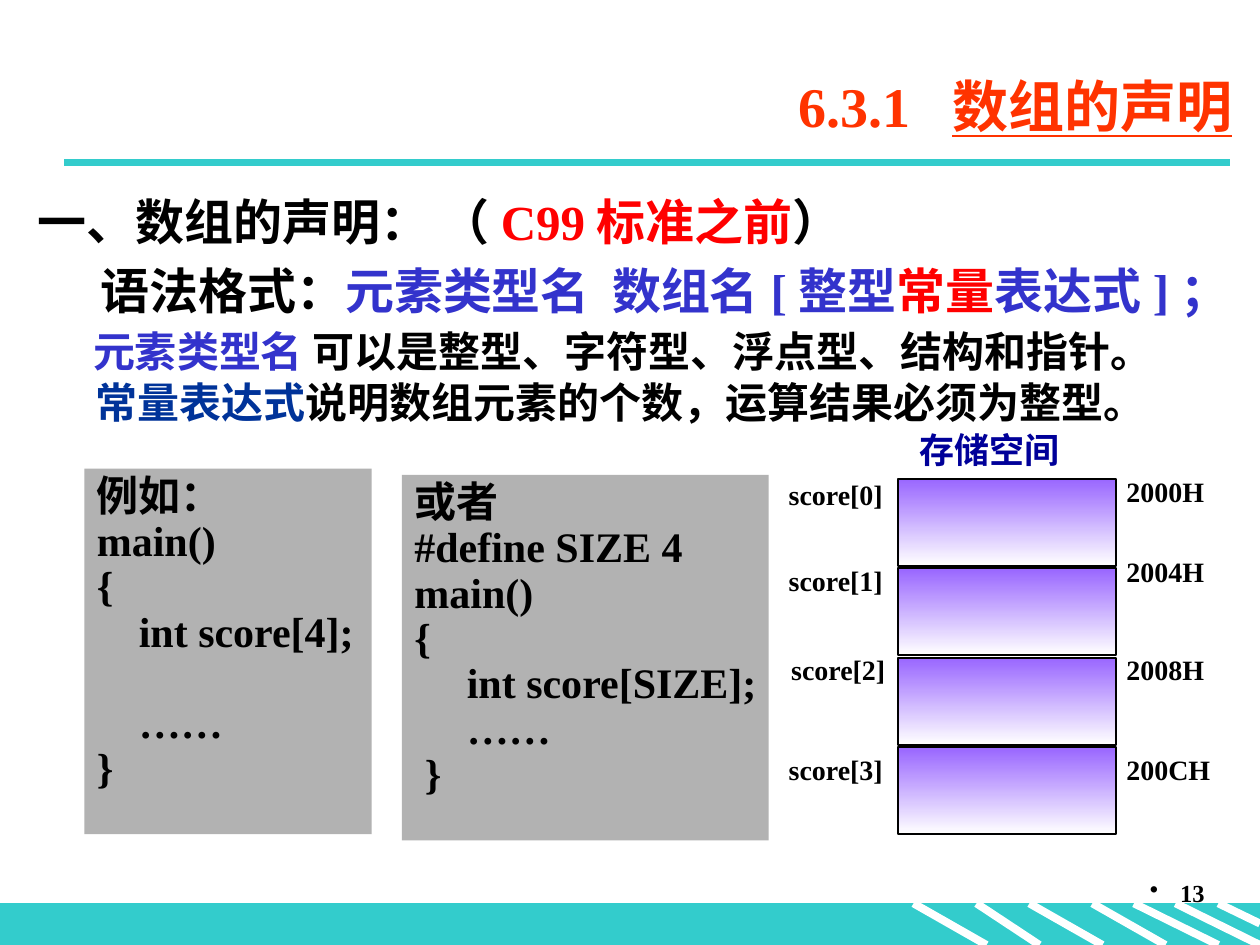
import pptx
import pptx.dml.color
import pptx.enum.shapes
import pptx.enum.text
import pptx.oxml.ns
import pptx.util
from lxml import etree

Inches = pptx.util.Inches
Pt = pptx.util.Pt
RGBColor = pptx.dml.color.RGBColor
Align = pptx.enum.text.PP_ALIGN
Anchor = pptx.enum.text.MSO_ANCHOR
RECTANGLE = pptx.enum.shapes.MSO_SHAPE.RECTANGLE
qn = pptx.oxml.ns.qn

FONT = "Times New Roman"
BLACK = RGBColor(0x00, 0x00, 0x00)
WHITE = RGBColor(0xFF, 0xFF, 0xFF)
TEAL = RGBColor(0x33, 0xCC, 0xCC)
ORANGE = RGBColor(0xFF, 0x33, 0x00)
RED = RGBColor(0xFF, 0x00, 0x00)
INDIGO = RGBColor(0x33, 0x33, 0xCC)
BLUE = RGBColor(0x00, 0x33, 0x99)
NAVY = RGBColor(0x00, 0x00, 0x99)
GREY = RGBColor(0xB2, 0xB2, 0xB2)
PURPLE = RGBColor(0x99, 0x66, 0xFF)

STRIPES = [  # start x, end x, end y
    (7.75, 8.25, 7.5), (7.25, 7.83, 7.5), (8.17, 8.75, 7.5), (9.33, 10, 7.5),
    (9, 9.67, 7.5), (9.67, 10, 7.33), (8.67, 9.25, 7.5),
]
CELLS = [  # element, its left and top, address, its top
    ("score[0]", 6.26, 3.82, "2000H", 3.8),
    ("score[1]", 6.26, 4.5, "2004H", 4.43),
    ("score[2]", 6.28, 5.21, "2008H", 5.21),
    ("score[3]", 6.26, 6, "200CH", 6),
]
CELL_TOP, CELL_PITCH = 3.8, 0.71


def add_line(s, x1, y1, x2, y2, color):
    line = s.shapes.add_connector(
        pptx.enum.shapes.MSO_CONNECTOR.STRAIGHT,
        Inches(x1), Inches(y1), Inches(x2), Inches(y2))
    line.line.color.rgb = color
    line.line.width = Pt(4.5)
    etree.SubElement(line._element.spPr, qn("a:effectLst"))


def add_rect(s, x, y, w, h, fill=None):
    sp = s.shapes.add_shape(RECTANGLE, Inches(x), Inches(y), Inches(w), Inches(h))
    sp.shadow.inherit = False
    sp.line.fill.background()
    if fill is not None:
        sp.fill.solid()
        sp.fill.fore_color.rgb = fill
    return sp


def add_box(s, x, y, w, h, inset=True, wrap=True):
    tf = s.shapes.add_textbox(Inches(x), Inches(y), Inches(w), Inches(h)).text_frame
    tf.word_wrap = wrap
    if not inset:
        tf.margin_left = tf.margin_right = tf.margin_top = tf.margin_bottom = 0
    return tf


def add_run(p, text, size, color=BLACK):
    r = p.add_run()
    r.text = text
    r.font.name = FONT
    r.font.size = Pt(size)
    r.font.bold = True
    r.font.color.rgb = color
    return r


def add_label(s, text, x, y, w):
    p = add_box(s, x, y, w, 0.27, inset=False, wrap=False).paragraphs[0]
    p.line_spacing = 0.9
    add_run(p, text, 16)


def add_code(s, x, y, w, lines, gap_before=None):
    """Grey listing; gap_before is the line that has an empty line above it."""
    tf = add_rect(s, x, y, w, 2.9, GREY).text_frame
    tf.word_wrap = True
    tf.vertical_anchor = Anchor.TOP
    tf.margin_right = Inches(0.05)
    for i, text in enumerate(lines):
        p = tf.paragraphs[0] if i == 0 else tf.add_paragraph()
        p.alignment = Align.LEFT
        p.line_spacing = 0.9
        if i == gap_before:
            p.space_before = Pt(26)
        add_run(p, text, 24)


def add_frame(s):
    band = add_rect(s, 0, 7.17, 10, 0.33, TEAL)
    band.line.color.rgb = TEAL
    band.line.width = Pt(0.75)
    for x1, x2, y2 in STRIPES:
        add_line(s, x1, 7.17, x2, y2, WHITE)
    add_line(s, 0.51, 1.29, 9.76, 1.29, TEAL)


def add_slide_number(s):
    p = add_box(s, 7.58, 6.92, 2.08, 0.5).paragraphs[0]
    p.alignment = Align.RIGHT
    pPr = p._p.get_or_add_pPr()
    pPr.set("marL", str(Inches(0.24)))
    pPr.set("indent", str(-Inches(0.24)))
    etree.SubElement(pPr, qn("a:buChar")).set("char", "•")
    add_run(p, "13", 14)


def add_title(s):
    tf = add_box(s, 1.38, 0.44, 8.5, 0.79)
    tf.vertical_anchor = Anchor.MIDDLE
    p = tf.paragraphs[0]
    p.alignment = Align.RIGHT
    add_run(p, "6.3.1  ", 32, ORANGE)
    add_run(p, "数组的声明", 32, ORANGE).font.underline = True


def add_body(s):
    paragraphs = [  # left indent, space before, size, runs
        (0, 0, 28, [("一、数组的声明： （", BLACK), ("C99标准之前", RED), ("）", BLACK)]),
        (0.5, 5.6, 28, [("语法格式：", BLACK), ("元素类型名  数组名[整型", INDIGO),
                        ("常量", RED), ("表达式]；", INDIGO)]),
        (0.44, 4, 24, [("元素类型名", INDIGO),
                       (" 可以是整型、字符型、浮点型、结构和指针。", BLACK)]),
        (0.46, 0, 24, [("常量表达式", BLUE),
                       ("说明数组元素的个数，运算结果必须为整型。", BLACK)]),
    ]
    tf = add_box(s, 0.2, 1.47, 9.8, 1.89)
    for i, (indent, before, size, runs) in enumerate(paragraphs):
        p = tf.paragraphs[0] if i == 0 else tf.add_paragraph()
        p._p.get_or_add_pPr().set("marL", str(Inches(indent)))
        if before:
            p.space_before = Pt(before)
        for text, color in runs:
            add_run(p, text, size, color)


def add_memory(s):
    p = add_box(s, 7.2, 3.39, 2.36, 0.43).paragraphs[0]
    p.line_spacing = 0.9
    add_run(p, "存储空间", 20, NAVY)
    for i, (element, x, y, address, address_y) in enumerate(CELLS):
        cell = add_rect(s, 7.13, CELL_TOP + i * CELL_PITCH, 1.73, 0.69)
        cell.fill.gradient()
        cell.fill.gradient_angle = 270
        for stop, color in zip(cell.fill.gradient_stops, (PURPLE, WHITE)):
            stop.color.rgb = color
        cell.line.color.rgb = BLACK
        cell.line.width = Pt(1.25)
        add_label(s, element, x, y, 0.76)
        add_label(s, address, 8.94, address_y, 0.67)


def main():
    prs = pptx.Presentation()
    prs.slide_width, prs.slide_height = Inches(10), Inches(7.5)
    s = prs.slides.add_slide(prs.slide_layouts[6])
    add_frame(s)
    add_slide_number(s)
    add_body(s)
    add_title(s)
    add_memory(s)
    add_code(s, 0.67, 3.72, 2.28,
             ["例如：", "main()", "{", "    int score[4];", "    ……", "}"], gap_before=4)
    add_code(s, 3.19, 3.77, 2.91,
             ["或者", "#define SIZE 4", "main()", "{", "     int score[SIZE];",
              "     ……", " }"])
    prs.save("out.pptx")


if __name__ == "__main__":
    main()
